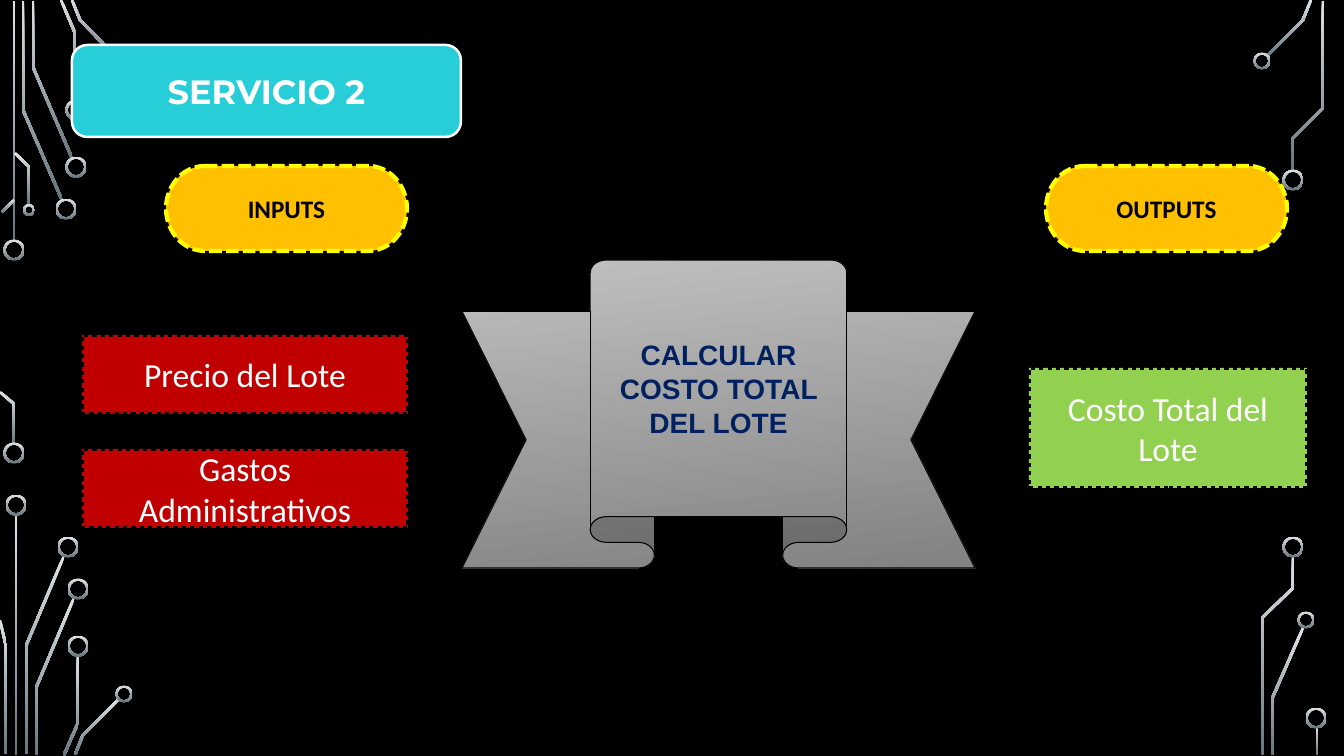
"""Builds the SERVICIO 2 slide: inputs, process ribbon and outputs on a circuit backdrop."""
from pptx import Presentation
from pptx.dml.color import RGBColor
from pptx.enum.dml import MSO_LINE
from pptx.enum.shapes import MSO_SHAPE
from pptx.enum.text import MSO_ANCHOR, PP_ALIGN
from pptx.util import Inches, Pt

ROUND, RECT = MSO_SHAPE.ROUNDED_RECTANGLE, MSO_SHAPE.RECTANGLE
PILL, RIBBON, RING = MSO_SHAPE.FLOWCHART_TERMINATOR, MSO_SHAPE.UP_RIBBON, MSO_SHAPE.DONUT
DASH, DOT = MSO_LINE.SQUARE_DOT, MSO_LINE.ROUND_DOT
MID, CENTER = MSO_ANCHOR.MIDDLE, PP_ALIGN.CENTER

PX = Inches(1) / 100.8
TRACK, RIM = 2.6, 2
THEME = {
    "back": "000000",
    "wire": ("DFE3E5", "65757D", 90),
    "title": dict(fill="27CED7", line="FFFFFF", wide=1.75, dash=None,
                  font="Montserrat", size=24, ink="FFFFFF", bold=True),
    "head": dict(fill="FFC000", line="FFFF00", wide=3, dash=DASH,
                 font="Calibri", size=18, ink="000000", bold=True),
    "step": dict(fill=("C0C0C0", "828282", 84), line="000000", wide=0.75, dash=None,
                 font="Arial", size=20, ink="002060", bold=True),
    "input": dict(fill="C00000", line="000000", wide=3, dash=DOT,
                  font="Calibri", size=24, ink="FFFFFF", bold=False),
    "output": dict(fill="92D050", line="000000", wide=3, dash=DOT,
                   font="Calibri", size=24, ink="FFFFFF", bold=False),
}

BOXES = [
    ("SERVICIO 2", "title", ROUND, (72, 45, 389, 92)),
    ("INPUTS", "head", PILL, (166, 166, 241, 85)),
    ("OUTPUTS", "head", PILL, (1046, 166, 241, 85)),
    ("CALCULAR COSTO TOTAL DEL LOTE", "step", RIBBON, (462, 260, 513, 308)),
    ("Precio del Lote", "input", RECT, (82, 335, 326, 79)),
    ("Costo Total del Lote", "output", RECT, (1029, 368, 278, 120)),
    ("Gastos Administrativos", "input", RECT, (82, 449, 326, 79)),
]
WIRES = [
    [(14, 1), (14, 242)],
    [(23, 1), (23, 110), (62, 200)],
    [(33, 1), (33, 67), (72, 158)],
    [(61, 0), (75, 33), (75, 101)],
    [(72, 0), (80, 20), (116, 57)],
    [(2, 212), (14, 200)],
    [(0, 392), (14, 404), (14, 445)],
    [(15, 153), (29, 167), (29, 205)],
    [(16, 514), (16, 755)],
    [(64, 556), (26, 646), (26, 754)],
    [(0, 620), (6, 646), (6, 754)],
    [(74, 598), (36, 688), (36, 755)],
    [(78, 655), (78, 723), (64, 755)],
    [(119, 699), (83, 735), (75, 755)],
    [(1267, 56), (1303, 20), (1311, 0)],
    [(1303, 628), (1272, 699), (1272, 755)],
    [(1323, 1), (1323, 108), (1292, 139), (1292, 170)],
    [(1293, 556), (1293, 588), (1262, 618), (1262, 755)],
    [(1317, 727), (1317, 755)],
]
NODES = {
    21: [(14, 250), (14, 453), (66, 209), (76, 167), (76, 110), (16, 505), (68, 547),
         (78, 589), (78, 646), (1293, 180), (1293, 547), (1316, 718)],
    17: [(124, 694), (1262, 61), (1306, 620)],
    12: [(29, 210)],
}


def emu(*vals):
    return [round(v * PX) for v in vals]


def paint(fill, tint):
    if isinstance(tint, str):
        fill.solid()
        fill.fore_color.rgb = RGBColor.from_string(tint)
        return
    *tones, turn = tint
    fill.gradient()
    fill.gradient_angle = 360 - turn
    for stop, tone, spot in zip(fill.gradient_stops, tones, (0, 1)):
        stop.color.rgb = RGBColor.from_string(tone)
        stop.position = spot


def metal(shape):
    shape.shadow.inherit = False
    paint(shape.fill, THEME["wire"])
    shape.line.fill.background()


def outline(wire):
    """Offsets a centre line to both sides with mitred corners."""
    dots = [complex(*p) for p in wire]
    norms = [1j * (b - a) / abs(b - a) for a, b in zip(dots, dots[1:])]
    pairs = zip(norms[:1] + norms, norms + norms[-1:])
    shifts = [TRACK / 2 * (m + n) / (1 + (m * n.conjugate()).real) for m, n in pairs]
    left = [d + s for d, s in zip(dots, shifts)]
    right = [d - s for d, s in zip(dots, shifts)]
    return [emu(d.real, d.imag) for d in left + right[::-1]]


def trace(shapes, wire):
    first, *rest = outline(wire)
    path = shapes.build_freeform(*first, scale=1.0)
    path.add_line_segments(rest, close=True)
    metal(path.convert_to_shape())


def node(shapes, x, y, size):
    ring = shapes.add_shape(RING, *emu(x - size / 2, y - size / 2, size, size))
    ring.adjustments[0] = RIM / size
    metal(ring)


def box(shapes, text, role, kind, spot):
    look = THEME[role]
    shape = shapes.add_shape(kind, *emu(*spot))
    shape.shadow.inherit = False
    paint(shape.fill, look["fill"])
    paint(shape.line.fill, look["line"])
    shape.line.width = Pt(look["wide"])
    if look["dash"]:
        shape.line.dash_style = look["dash"]
    frame = shape.text_frame
    frame.word_wrap = True
    frame.vertical_anchor = MID
    para = frame.paragraphs[0]
    para.alignment = CENTER
    run = para.add_run()
    run.text = text
    font = run.font
    font.name, font.size, font.bold = look["font"], Pt(look["size"]), look["bold"]
    font.color.rgb = RGBColor.from_string(look["ink"])


deck = Presentation()
deck.slide_width, deck.slide_height = emu(1344, 756)
slide = deck.slides.add_slide(deck.slide_layouts[6])
paint(slide.background.fill, THEME["back"])
for wire in WIRES:
    trace(slide.shapes, wire)
for size, spots in NODES.items():
    for x, y in spots:
        node(slide.shapes, x, y, size)
for item in BOXES:
    box(slide.shapes, *item)
deck.save("out.pptx")
